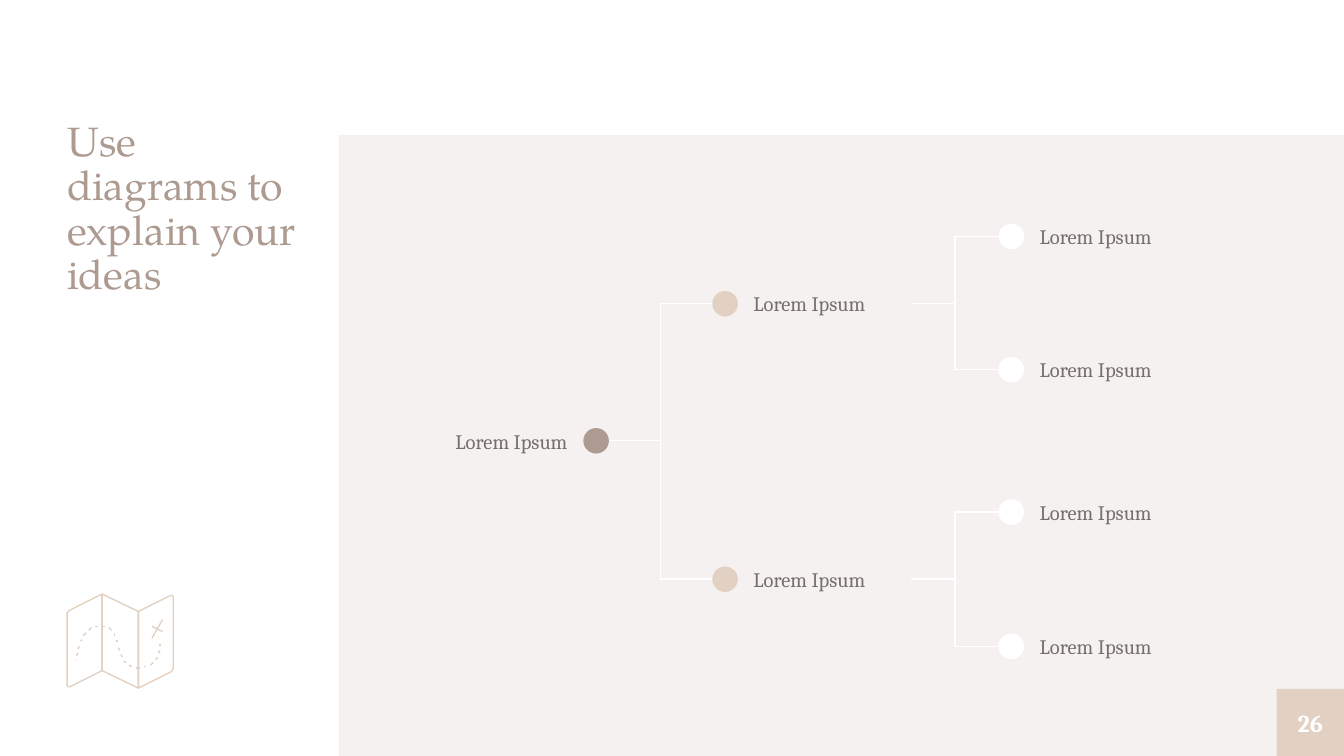
import pptx
import pptx.dml.color
import pptx.enum.shapes
import pptx.enum.text
import pptx.oxml.ns
import pptx.util
from lxml import etree

Inches = pptx.util.Inches
SHAPE = pptx.enum.shapes.MSO_SHAPE
CONNECTOR = pptx.enum.shapes.MSO_CONNECTOR
ALIGN = pptx.enum.text.PP_ALIGN
ANCHOR = pptx.enum.text.MSO_ANCHOR

SLIDE_W = 10
SLIDE_H = SLIDE_W * 9 / 16
PANEL, SAND, TAUPE, GREY, WHITE = "F5F1F0", "E2D1C2", "AD9B91", "756F6F", "FFFFFF"
DOT, LABEL_W, LABEL_H = 0.19, 1.29, 0.35

# Map icon outlines, in inches from its top left corner
FOLDS = [
    [(0.26, 0), (0.02, 0.12), (0.01, 0.13), (0, 0.14), (0, 0.68), (0.01, 0.69),
     (0.02, 0.69), (0.26, 0.57)],
    [(0.53, 0.13), (0.26, 0), (0.26, 0.57), (0.53, 0.7)],
    [(0.77, 0.01), (0.53, 0.13), (0.53, 0.7), (0.77, 0.58), (0.78, 0.57),
     (0.79, 0.55), (0.79, 0.02), (0.78, 0.01)],
]
CROSS = [(0.63, 0.24, 0.71, 0.28), (0.71, 0.19, 0.63, 0.33)]
TRAIL = [
    (0.07, 0.5, 0.07, 0.49), (0.07, 0.46, 0.08, 0.44), (0.08, 0.41, 0.09, 0.39),
    (0.1, 0.35, 0.11, 0.34), (0.12, 0.31, 0.14, 0.29), (0.16, 0.27, 0.18, 0.25),
    (0.21, 0.24, 0.23, 0.24), (0.26, 0.24, 0.28, 0.24), (0.31, 0.25, 0.33, 0.27),
    (0.35, 0.29, 0.35, 0.31), (0.37, 0.34, 0.37, 0.36), (0.38, 0.4, 0.39, 0.42),
    (0.4, 0.45, 0.41, 0.47), (0.42, 0.5, 0.44, 0.51), (0.46, 0.53, 0.48, 0.54),
    (0.51, 0.55, 0.54, 0.55), (0.57, 0.54, 0.59, 0.54), (0.62, 0.53, 0.64, 0.51),
    (0.66, 0.49, 0.67, 0.47), (0.68, 0.44, 0.69, 0.42), (0.69, 0.39, 0.69, 0.37),
    (0.68, 0.33, 0.68, 0.32),
]


def rgb(color):
    return pptx.dml.color.RGBColor.from_string(color)


def add_box(shapes, kind, x, y, w, h, fill=None):
    sp = shapes.add_shape(kind, Inches(x), Inches(y), Inches(w), Inches(h))
    sp.shadow.inherit = False
    sp.line.fill.background()
    if fill:
        sp.fill.solid()
        sp.fill.fore_color.rgb = rgb(fill)
    else:
        sp.fill.background()
    return sp


def add_line(shapes, x1, y1, x2, y2, color, kind=CONNECTOR.STRAIGHT):
    line = shapes.add_connector(kind, Inches(x1), Inches(y1), Inches(x2), Inches(y2))
    line.line.color.rgb = rgb(color)
    line.line.width = pptx.util.Pt(0.75)
    sp_pr = line._element.spPr
    etree.SubElement(sp_pr, pptx.oxml.ns.qn("a:effectLst"))


def set_text(sp, text, size, color, font="Cambria", bold=False, align=ALIGN.LEFT,
             anchor=ANCHOR.MIDDLE, inset=0, spacing=None):
    tf = sp.text_frame
    tf.word_wrap = True
    tf.vertical_anchor = anchor
    tf.margin_left = tf.margin_right = tf.margin_top = tf.margin_bottom = Inches(inset)
    p = tf.paragraphs[0]
    p.alignment = align
    p.line_spacing = spacing
    r = p.add_run()
    r.text = text
    r.font.name = font
    r.font.size = pptx.util.Pt(size)
    r.font.bold = bold
    r.font.color.rgb = rgb(color)


def add_title(s, x, y, w, h):
    sp = s.shapes.add_textbox(Inches(x), Inches(y), Inches(w), Inches(h))
    set_text(sp, "Use diagrams to explain your ideas", 22, TAUPE,
             font="TeX Gyre Pagella", anchor=ANCHOR.TOP, spacing=0.9)


def add_map_icon(s, x, y):
    shapes = s.shapes.add_group_shape().shapes
    for fold in FOLDS:
        points = [(Inches(x + dx), Inches(y + dy)) for dx, dy in fold]
        builder = shapes.build_freeform(*points[0])
        builder.add_line_segments(points[1:], close=True)
        sp = builder.convert_to_shape()
        sp.shadow.inherit = False
        sp.fill.background()
        sp.line.color.rgb = rgb(SAND)
        sp.line.width = pptx.util.Pt(0.75)
    for x1, y1, x2, y2 in CROSS + TRAIL:
        add_line(shapes, x + x1, y + y1, x + x2, y + y2, SAND)


def add_page_number(s, x, y, size):
    sp = add_box(s.shapes, SHAPE.RECTANGLE, x, y, size, size, SAND)
    set_text(sp, "26", 13, WHITE, bold=True, align=ALIGN.CENTER)


def add_node(s, x, y, color, label_left=False):
    """Dot with its left edge at x and its centre at y, with a label beside it."""
    shapes = s.shapes.add_group_shape().shapes
    label_x = x - LABEL_W if label_left else x + DOT
    label = add_box(shapes, SHAPE.ROUNDED_RECTANGLE, label_x, y - LABEL_H / 2,
                    LABEL_W, LABEL_H)
    set_text(label, "Lorem Ipsum", 11, GREY, inset=0.1,
             align=ALIGN.RIGHT if label_left else ALIGN.LEFT)
    add_box(shapes, SHAPE.OVAL, x, y - DOT / 2, DOT, DOT, color)


def add_tree(s, x, y):
    """Three-level tree; x is the left of the root label, y the first leaf centre."""
    root_x, branch_x, leaf_x = x + LABEL_W, x + 2.25, x + 4.38
    root_y = y + 1.52
    branches = {y + 0.5: (y, y + 0.99), y + 2.55: (y + 2.05, y + 3.05)}

    for branch_y, leaves in branches.items():
        add_line(s.shapes, root_x + DOT, root_y, branch_x, branch_y, WHITE,
                 CONNECTOR.ELBOW)
        for leaf_y in leaves:
            add_line(s.shapes, branch_x + DOT + LABEL_W, branch_y, leaf_x, leaf_y,
                     WHITE, CONNECTOR.ELBOW)

    add_node(s, root_x, root_y, TAUPE, label_left=True)
    for branch_y, leaves in branches.items():
        add_node(s, branch_x, branch_y, SAND)
        for leaf_y in leaves:
            add_node(s, leaf_x, leaf_y, WHITE)


def main():
    prs = pptx.Presentation()
    prs.slide_width, prs.slide_height = Inches(SLIDE_W), Inches(SLIDE_H)
    s = prs.slides.add_slide(prs.slide_layouts[6])
    panel_w, panel_h, number_size = 7.48, 4.62, 0.5
    add_box(s.shapes, SHAPE.RECTANGLE, SLIDE_W - panel_w, SLIDE_H - panel_h,
            panel_w, panel_h, PANEL)
    add_title(s, 0.5, 0.9, 1.78, 4.23)
    add_map_icon(s, 0.5, 4.42)
    add_page_number(s, SLIDE_W - number_size, SLIDE_H - number_size, number_size)
    add_tree(s, 3.05, 1.76)
    prs.save("out.pptx")


if __name__ == "__main__":
    main()
